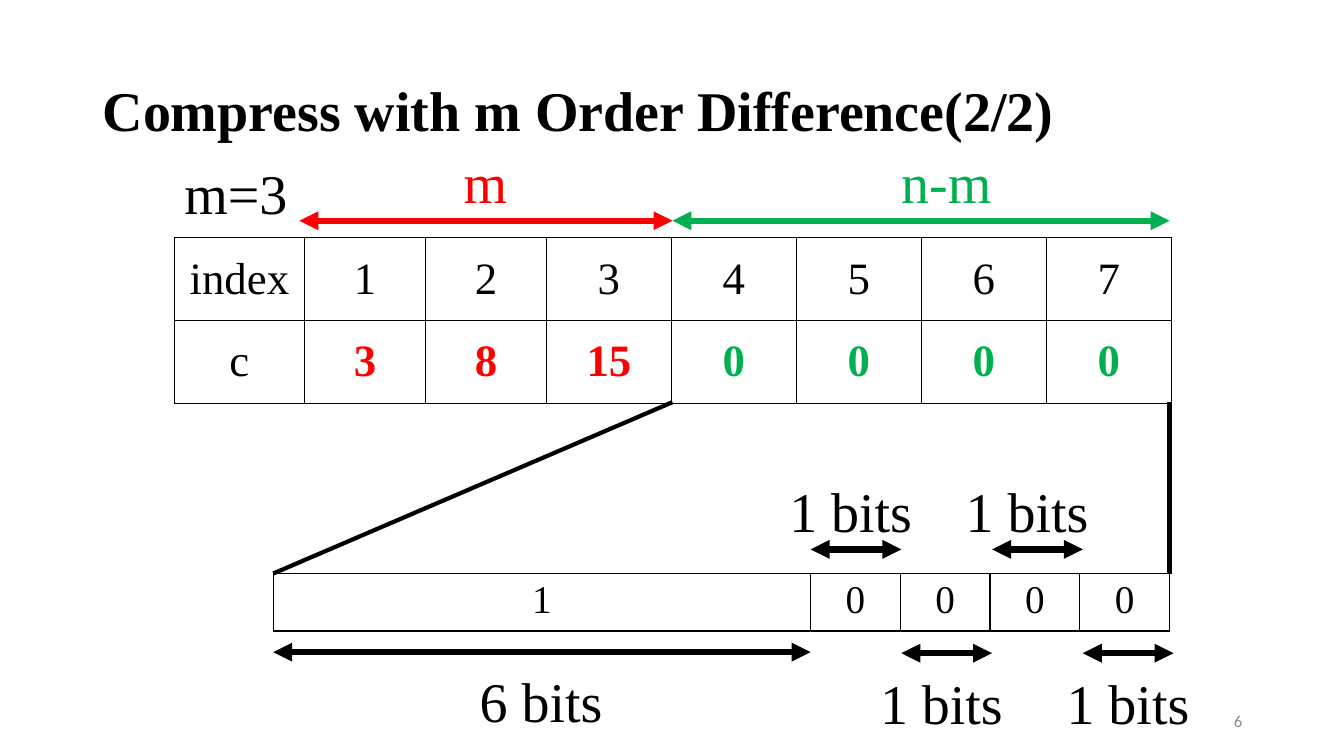
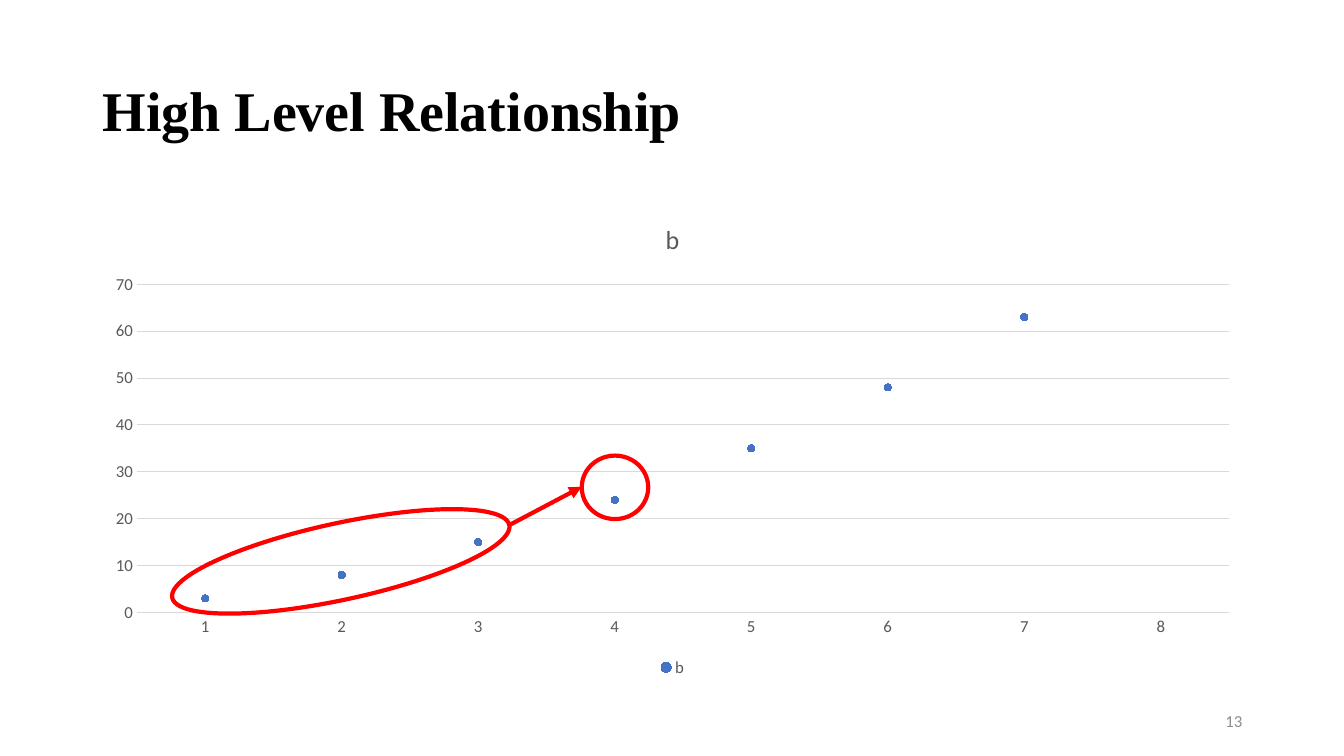
"""Builds two slides on compression by m order difference."""
from lxml import etree
from pptx import Presentation
from pptx.chart import data as chart_data
from pptx.dml import color
from pptx.enum import chart as chart_enum, shapes, text
from pptx.oxml import ns
from pptx.util import Inches, Pt

SERIF, SANS = "Times New Roman", "Calibri"
BLACK, RED, GREEN = "000000", "FF0000", "00B050"
GRAY, LABEL_GRAY, GRID_GRAY, BLUE = "8C8C8C", "595959", "D9D9D9", "4472C4"

INDEX_ROWS = [
    ["index", "1", "2", "3", "4", "5", "6", "7"],
    ["c", "3", "8", "15", "0", "0", "0", "0"],
]
INDEX_WIDTHS = [1.29, 1.2, 1.2] + [1.24] * 5
VALUE_COLORS = [BLACK] + [RED] * 3 + [GREEN] * 4
BIT_ROW = ["1", "0", "0", "0", "0"]
BIT_WIDTHS = [5.33] + [0.89] * 4

LABELS = [
    ("m=3", 1.73, 1.52, 1.23, BLACK),
    ("m", 4.5, 1.41, 0.64, RED),
    ("n-m", 8.84, 1.41, 1.11, GREEN),
    ("6 bits", 4.66, 6.56, 1.43, BLACK),
    ("1 bits", 7.73, 4.68, 1.43, BLACK),
    ("1 bits", 8.63, 6.58, 1.43, BLACK),
    ("1 bits", 9.48, 4.68, 1.43, BLACK),
    ("1 bits", 10.48, 6.58, 1.43, BLACK),
]
SPANS = [(2.97, 6.67, 2.19, RED), (6.67, 11.6, 2.19, GREEN), (2.71, 8.04, 6.47, BLACK)]
BIT_START, BIT_STEP, BIT_LEVELS = 8.04, 0.9, (5.45, 6.48)
ZOOM_LINES = [((6.67, 3.99), (2.71, 5.69)), ((11.6, 3.99), (11.6, 5.69))]

CATEGORIES = ["1", "2", "3", "4", "5", "6", "7", "8"]
VALUES = [3, 8, 15, 24, 35, 48, 63, None]
RINGS = [((1.67, 5.19, 3.42, 0.76), -12.2), ((5.77, 4.52, 0.66, 0.63), 0)]


def rgb(value):
    """Return a colour object for a hex string."""
    return color.RGBColor.from_string(value)


def style_font(font, size, name, hex_color, bold=False):
    """Set size, typeface, colour and weight of a font."""
    font.size, font.name, font.bold = Pt(size), name, bold
    font.color.rgb = rgb(hex_color)


def add_text(slide, words, box, size, name, hex_color, bold=False, wrap=True,
             align=text.PP_ALIGN.LEFT, anchor=text.MSO_ANCHOR.MIDDLE):
    """Add a text box with one paragraph and return the paragraph."""
    frame = slide.shapes.add_textbox(*map(Inches, box)).text_frame
    frame.word_wrap, frame.vertical_anchor = wrap, anchor
    frame.text = words
    paragraph = frame.paragraphs[0]
    paragraph.alignment = align
    style_font(paragraph.runs[0].font, size, name, hex_color, bold)
    return paragraph


def add_slide(presentation, title, number):
    """Add a blank slide with its title and slide number."""
    slide = presentation.slides.add_slide(presentation.slide_layouts[6])
    heading = add_text(slide, title, (0.92, 0.4, 11.5, 1.45), 40, SERIF, BLACK, bold=True)
    heading.line_spacing = 0.9
    add_text(slide, number, (9.42, 6.95, 3, 0.4), 12, SANS, GRAY, align=text.PP_ALIGN.RIGHT)
    return slide


def add_line(slide, start, end, hex_color, width, ends=()):
    """Add a straight line with triangles at the named ends."""
    line = slide.shapes.add_connector(
        shapes.MSO_CONNECTOR.STRAIGHT, *map(Inches, (*start, *end)))
    line.line.color.rgb, line.line.width = rgb(hex_color), Pt(width)
    properties = line.element.spPr
    outline = properties.find(ns.qn("a:ln"))
    for end_tag in ends:
        etree.SubElement(outline, ns.qn(end_tag), type="triangle")
    etree.SubElement(properties, ns.qn("a:effectLst"))


def add_span(slide, left, right, top, hex_color):
    """Add a horizontal double-headed arrow."""
    add_line(slide, (left, top), (right, top), hex_color, 4.5, ("a:headEnd", "a:tailEnd"))


def add_borders(cell):
    """Draw a black one-point border on every side of a cell."""
    properties = cell._tc.get_or_add_tcPr()
    for side in ("a:lnL", "a:lnR", "a:lnT", "a:lnB"):
        border = etree.SubElement(properties, ns.qn(side), w=str(Pt(1)))
        fill = etree.SubElement(border, ns.qn("a:solidFill"))
        etree.SubElement(fill, ns.qn("a:srgbClr"), val=BLACK)


def add_grid(slide, rows, widths, left, top, row_height, size):
    """Add a bordered, unfilled table with centred text."""
    table = slide.shapes.add_table(
        len(rows), len(widths), Inches(left), Inches(top),
        Inches(sum(widths)), Inches(row_height * len(rows))).table
    table.first_row = table.horz_banding = False
    for column, width in zip(table.columns, widths):
        column.width = Inches(width)
    for row, words in zip(table.rows, rows):
        row.height = Inches(row_height)
        for cell, word in zip(row.cells, words):
            add_borders(cell)
            cell.fill.background()
            cell.text = word
            paragraph = cell.text_frame.paragraphs[0]
            paragraph.alignment = text.PP_ALIGN.CENTER
            style_font(paragraph.runs[0].font, size, SERIF, BLACK)
    return table


def build_compression(presentation):
    """Build the slide with the index table and its bit layout."""
    slide = add_slide(presentation, "Compress with m Order Difference(2/2)", "6")
    table = add_grid(slide, INDEX_ROWS, INDEX_WIDTHS, 1.73, 2.36, 0.82, 32)
    for cell in table.iter_cells():
        cell.vertical_anchor = text.MSO_ANCHOR.MIDDLE
        cell.margin_left = cell.margin_right = Inches(0.07)
        cell.margin_top = cell.margin_bottom = 0
    for column, hex_color in enumerate(VALUE_COLORS):
        font = table.cell(1, column).text_frame.paragraphs[0].runs[0].font
        style_font(font, 32, SERIF, hex_color, bold=column > 0)
    add_grid(slide, [BIT_ROW], BIT_WIDTHS, 2.71, 5.69, 0.57, 28)
    for words, left, top, width, hex_color in LABELS:
        add_text(slide, words, (left, top, width, 0.77), 40, SERIF, hex_color,
                 wrap=False, anchor=text.MSO_ANCHOR.TOP)
    for span in SPANS:
        add_span(slide, *span)
    for bit in range(4):
        left = BIT_START + bit * BIT_STEP
        add_span(slide, left, left + BIT_STEP, BIT_LEVELS[bit % 2], BLACK)
    for start, end in ZOOM_LINES:
        add_line(slide, start, end, BLACK, 3)


def add_point_chart(slide):
    """Add the line chart that shows only its markers."""
    points = chart_data.CategoryChartData()
    points.categories = CATEGORIES
    points.add_series("b", VALUES)
    chart = slide.shapes.add_chart(
        chart_enum.XL_CHART_TYPE.LINE_MARKERS,
        *map(Inches, (0.92, 2, 11.5, 4.76)), points).chart
    style_font(chart.font, 10, SANS, BLACK)
    chart.has_title = True
    chart.chart_title.text_frame.text = "b"
    title_run = chart.chart_title.text_frame.paragraphs[0].runs[0]
    style_font(title_run.font, 18.6, SANS, LABEL_GRAY)
    chart.chart_title.include_in_layout = False
    chart.has_legend = True
    chart.legend.position = chart_enum.XL_LEGEND_POSITION.BOTTOM
    chart.legend.include_in_layout = False
    style_font(chart.legend.font, 12, SANS, LABEL_GRAY)

    category_axis, value_axis = chart.category_axis, chart.value_axis
    for axis in (category_axis, value_axis):
        axis.major_tick_mark = axis.minor_tick_mark = chart_enum.XL_TICK_MARK.NONE
        style_font(axis.tick_labels.font, 12, SANS, LABEL_GRAY)
    value_axis.has_major_gridlines = True
    for line in (category_axis.format.line, value_axis.major_gridlines.format.line):
        line.color.rgb, line.width = rgb(GRID_GRAY), Pt(0.75)
    value_axis.format.line.fill.background()

    plot = chart.plots[0]
    plot.vary_by_categories = False
    series = plot.series[0]
    series.smooth = False
    series.format.line.fill.background()
    marker = series.marker
    marker.style, marker.size = chart_enum.XL_MARKER_STYLE.CIRCLE, 5
    marker.format.fill.solid()
    marker.format.fill.fore_color.rgb = rgb(BLUE)
    marker.format.line.color.rgb = rgb(BLUE)


def build_relationship(presentation):
    """Build the slide with the chart and its ringed points."""
    slide = add_slide(presentation, "High Level Relationship", "13")
    add_point_chart(slide)
    for box, angle in RINGS:
        ring = slide.shapes.add_shape(shapes.MSO_SHAPE.OVAL, *map(Inches, box))
        ring.rotation = angle
        ring.shadow.inherit = False
        ring.fill.background()
        ring.line.color.rgb, ring.line.width = rgb(RED), Pt(3)
    add_line(slide, (5.05, 5.21), (5.77, 4.83), RED, 3, ("a:tailEnd",))


def main():
    """Build and save the presentation."""
    presentation = Presentation()
    presentation.slide_width, presentation.slide_height = Inches(13.33), Inches(7.5)
    build_compression(presentation)
    build_relationship(presentation)
    presentation.save("out.pptx")


if __name__ == "__main__":
    main()
